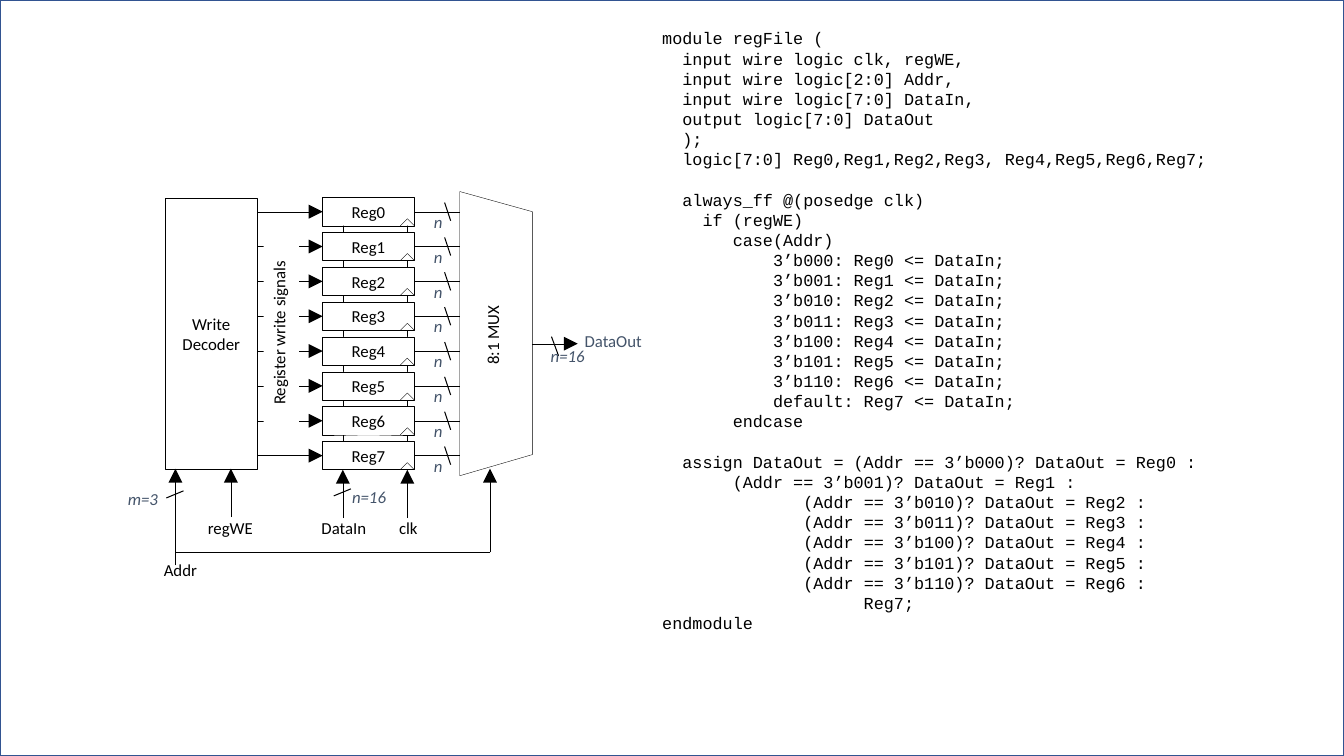
from lxml import etree
from pptx import Presentation
from pptx.dml.color import RGBColor
from pptx.enum import shapes as kinds, text as txt
from pptx.oxml import ns
from pptx.util import Inches, Pt

BLACK = RGBColor(0x00, 0x00, 0x00)
WHITE = RGBColor(0xFF, 0xFF, 0xFF)
SLATE = RGBColor(0x44, 0x54, 0x6A)
FRAME_BLUE = RGBColor(0x32, 0x54, 0x91)
LINE_PITCH = Pt(14.4)
LEFT, CENTER = txt.PP_ALIGN.LEFT, txt.PP_ALIGN.CENTER

PORTS = [
    "module regFile (",
    "  input wire logic clk, regWE,",
    "  input wire logic[2:0] Addr,",
    "  input wire logic[7:0] DataIn,",
    "  output logic[7:0] DataOut",
    "  );",
    "  logic[7:0] Reg0,Reg1,Reg2,Reg3, Reg4,Reg5,Reg6,Reg7;",
]
WRITE_LOGIC = [
    "  always_ff @(posedge clk)",
    "    if (regWE)",
    "       case(Addr)",
    *[f"           3’b{i:03b}: Reg{i} <= DataIn;" for i in range(7)],
    "           default: Reg7 <= DataIn;",
    "       endcase",
]
CHOICES = [f"(Addr == 3’b{i:03b})? DataOut = Reg{i} :" for i in range(7)]
READ_LOGIC = [
    f"  assign DataOut = {CHOICES[0]} \t         {CHOICES[1]}",
    *[f"\t         {choice}" for choice in CHOICES[2:]],
    "                    Reg7;",
    "endmodule",
]


def write_run(paragraph, words, font="Calibri", color=BLACK, italic=None):
    run = paragraph.add_run()
    run.text = words
    run.font.name = font
    run.font.size = Pt(12)
    run.font.color.rgb = color
    run.font.italic = italic


def outline(shape, fill=None, color=BLACK, weight=0.25):
    shape.shadow.inherit = False
    if fill is None:
        shape.fill.background()
    else:
        shape.fill.solid()
        shape.fill.fore_color.rgb = fill
    shape.line.color.rgb = color
    shape.line.width = Pt(weight)


def block(parts, lines, left, top, width, height, fill=None):
    box = parts.add_shape(kinds.MSO_SHAPE.RECTANGLE, *map(Inches, (left, top, width, height)))
    outline(box, fill)
    frame = box.text_frame
    frame.word_wrap = False
    frame.vertical_anchor = txt.MSO_ANCHOR.MIDDLE
    for i, line in enumerate(lines):
        paragraph = frame.add_paragraph() if i else frame.paragraphs[0]
        paragraph.alignment = CENTER
        write_run(paragraph, line)
    return box


def label(parts, words, left, top, width, height=0.37, align=CENTER,
          color=BLACK, italic=None, rotation=0):
    box = parts.add_textbox(*map(Inches, (left, top, width, height)))
    box.rotation = rotation
    frame = box.text_frame
    frame.word_wrap = False
    frame.auto_size = txt.MSO_AUTO_SIZE.SHAPE_TO_FIT_TEXT
    frame.paragraphs[0].alignment = align
    write_run(frame.paragraphs[0], words, color=color, italic=italic)
    return box


def wire(parts, x1, y1, x2, y2, weight=0.25, arrow=False):
    line = parts.add_connector(kinds.MSO_CONNECTOR.STRAIGHT, *map(Inches, (x1, y1, x2, y2)))
    line.line.color.rgb = BLACK
    line.line.width = Pt(weight)
    if arrow:
        etree.SubElement(line.line._get_or_add_ln(), ns.qn("a:tailEnd"),
                         type="triangle", w="lg", len="lg")
    etree.SubElement(line._element.spPr, ns.qn("a:effectLst"))
    return line


def bus_width(parts, words, tick, left, top, width, align=CENTER):
    wire(parts, *tick, weight=0.75)
    label(parts, words, left, top, width, align=align, color=SLATE, italic=True)


def write_decoder(parts, left, top, width, height):
    bottom = top + height
    block(parts, ["Write", "Decoder"], left, top, width, height)
    wire(parts, left + 0.1, bottom + 0.96, left + 0.1, bottom, arrow=True)
    wire(parts, left + 0.65, bottom + 0.48, left + 0.65, bottom, arrow=True)
    label(parts, "Addr", left - 0.18, bottom + 0.85, 0.66)
    label(parts, "regWE", left + 0.23, bottom + 0.44, 0.83)
    bus_width(parts, "m=3", (left + 0.01, bottom + 0.29, left + 0.18, bottom + 0.22),
              left - 0.47, bottom + 0.15, 0.67, LEFT)


def register_bank(parts, left, top, width, height):
    reg_height, count = 0.28, 8
    pitch = (height - reg_height) / (count - 1)
    right, bottom = left + width, top + height
    data_x, clk_x = left + 0.2, right - 0.07
    for x, signal, label_width in ((data_x, "DataIn", 0.81), (clk_x, "clk", 0.48)):
        wire(parts, x, bottom, x, top + 0.14)
        wire(parts, x, bottom + 0.48, x, bottom, arrow=True)
        label(parts, signal, x + 0.01 - label_width / 2, bottom + 0.43, label_width)
    for i in range(count):
        reg_top = top + i * pitch
        reg_bottom, middle = reg_top + reg_height, reg_top + reg_height / 2
        register = block(parts, [f"Reg{i}"], left, reg_top, width, reg_height, WHITE)
        write_signal = wire(parts, left - 0.65, middle, left, middle, arrow=True)
        write_signal.end_connect(register, 1)
        output = wire(parts, right, middle, right + 0.45, middle)
        output.begin_connect(register, 3)
        for side in (-0.07, 0.07):
            wire(parts, clk_x, reg_bottom - 0.07, clk_x + side, reg_bottom)
        bus_width(parts, "n", (right + 0.36, middle + 0.09, right + 0.3, middle - 0.09),
                  right + 0.04, middle - 0.05, 0.39)
    caption = label(parts, "Register write signals", left - 1.52, top + 1.17, 2.22, 0.35,
                    rotation=270)
    caption.fill.solid()
    caption.fill.fore_color.rgb = WHITE
    bus_width(parts, "n=16", (left + 0.11, bottom + 0.26, left + 0.28, bottom + 0.19),
              left + 0.1, bottom + 0.12, 0.72)


def output_mux(parts, left, top, width, height):
    right, bottom, middle = left + width, top + height, top + 1.51
    corners = [(left, bottom), (left, top), (right, top + 0.2), (right, bottom - 0.21)]
    points = [tuple(map(Inches, corner)) for corner in corners]
    builder = parts.build_freeform(*points[0])
    builder.add_line_segments(points[1:], close=True)
    outline(builder.convert_to_shape(), WHITE)
    label(parts, "8:1 MUX", left - 0.18, top + 1.25, 1.06, 0.35, rotation=270)
    wire(parts, right, middle, right + 0.45, middle, arrow=True)
    label(parts, "DataOut", right + 0.42, top + 1.33, 0.96, align=LEFT, color=SLATE)
    bus_width(parts, "n=16", (right + 0.26, middle + 0.12, right + 0.19, middle - 0.07),
              right - 0.01, top + 1.48, 0.72)
    select_x, select_y = left + 0.3, bottom + 0.76
    wire(parts, select_x, select_y, select_x, bottom - 0.07, arrow=True)
    wire(parts, left - 2.81, select_y, select_x, select_y, weight=0.75)


def code_listing(slide, left, top, width, height):
    frame = slide.shapes.add_textbox(*map(Inches, (left, top, width, height))).text_frame
    frame.word_wrap = True
    for i, section in enumerate((PORTS, WRITE_LOGIC, READ_LOGIC)):
        for j, line in enumerate(section):
            paragraph = frame.add_paragraph() if i or j else frame.paragraphs[0]
            paragraph.line_spacing = LINE_PITCH
            if i and not j:
                paragraph.space_before = LINE_PITCH
            write_run(paragraph, line, font="Courier New")


def register_file_slide(deck):
    slide = deck.slides.add_slide(deck.slide_layouts[6])
    border = slide.shapes.add_shape(kinds.MSO_SHAPE.RECTANGLE, 0, 0,
                                    deck.slide_width, deck.slide_height)
    outline(border, color=FRAME_BLUE, weight=1)
    code_listing(slide, 6.47, 0.23, 5.8, 6.16)
    parts = slide.shapes.add_group_shape().shapes
    output_mux(parts, 4.56, 1.9, 0.72, 2.82)
    write_decoder(parts, 1.64, 1.97, 0.91, 2.68)
    register_bank(parts, 3.2, 1.96, 0.91, 2.7)


def main():
    deck = Presentation()
    deck.slide_width, deck.slide_height = Inches(13.33), Inches(7.5)
    register_file_slide(deck)
    deck.save("out.pptx")


if __name__ == "__main__":
    main()
